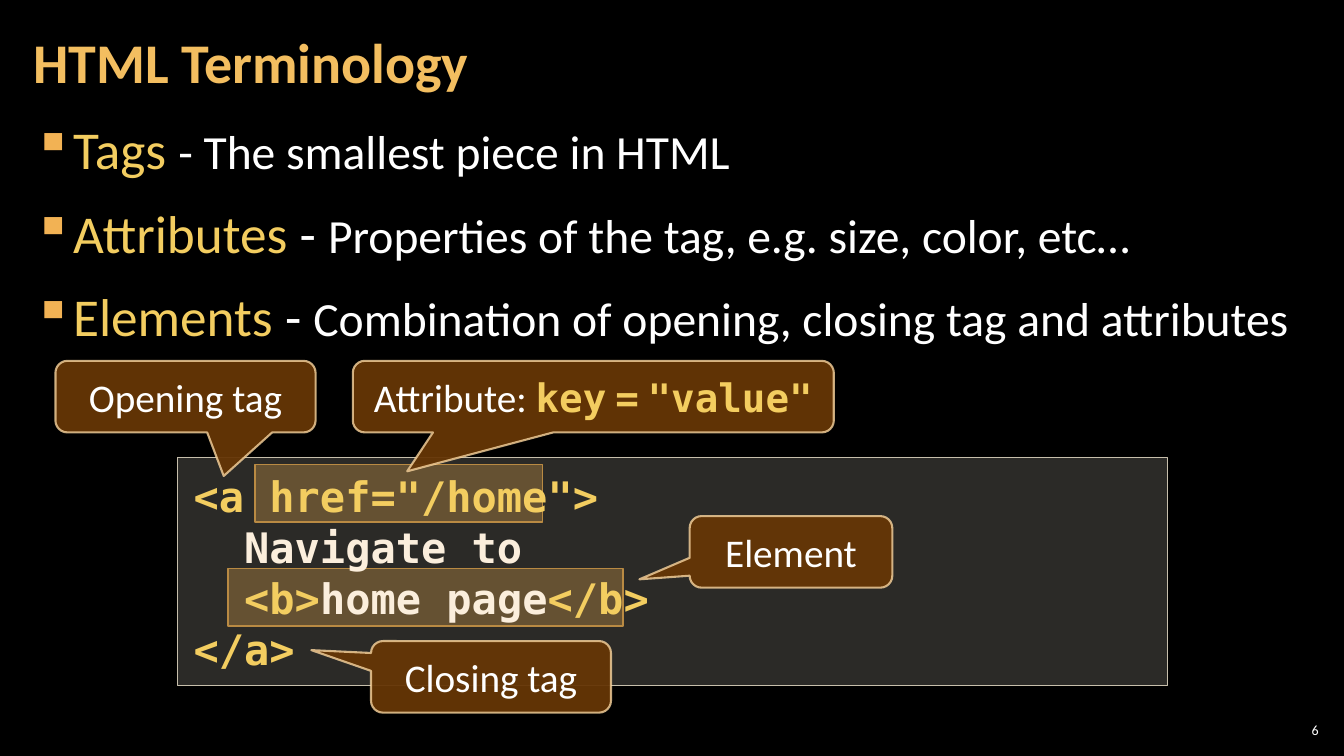
from lxml import etree
from pptx import Presentation
from pptx.dml.color import RGBColor
from pptx.enum.shapes import MSO_SHAPE
from pptx.enum.text import MSO_ANCHOR, PP_ALIGN
from pptx.oxml.ns import qn
from pptx.util import Inches, Pt

RECT, CALL = MSO_SHAPE.RECTANGLE, MSO_SHAPE.ROUNDED_RECTANGULAR_CALLOUT
TOP, MID = MSO_ANCHOR.TOP, MSO_ANCHOR.MIDDLE
LEFT, MIDDLE, RIGHT = PP_ALIGN.LEFT, PP_ALIGN.CENTER, PP_ALIGN.RIGHT

HEX = {
    "back": "000000", "title": "F3BE60", "gold": "F3CD60", "white": "FFFFFF",
    "cream": "FBEEDC", "bullet": "F2B254", "mark": "F0A22E", "edge": "B27822",
    "panel": "D9D5C7", "rim": "C7BFAC", "brown": "663606", "sand": "F8D49E",
}
SANS, MONO = "Calibri", "DejaVu Sans Mono"

# Content: each run is (text, style)
STYLE = {
    "title": (SANS, 40, "title", True),
    "term": (SANS, 38, "gold", False),
    "dash": (SANS, 38, "white", False),
    "text": (SANS, 34, "white", False),
    "tag": (MONO, 30, "gold", True),
    "code": (MONO, 30, "cream", True),
    "label": (SANS, 28, "white", False),
    "key": (MONO, 28, "gold", True),
    "gap": (SANS, 28, "gold", True),
    "page": (SANS, 10, "white", False),
}
TERMS = [
    [("Tags ", "term"), ("- The smallest piece in HTML", "text")],
    [("Attributes ", "term"), ("- ", "dash"),
     ("Properties of the tag, e.g. size, color, etc…", "text")],
    [("Elements ", "term"), ("- ", "dash"),
     ("Combination of opening, closing tag and attributes", "text")],
]
CODE = [
    [('<a href="/home">', "tag")],
    [("  Navigate to", "code")],
    [("  <b>", "tag"), ("home page", "code"), ("</b>", "tag")],
    [("</a>", "tag")],
]
KEY = [("Attribute: ", "label"), ("key", "key"), (" ", "gap"), ("=", "key"),
       (" ", "gap"), ('"value"', "key")]
# Callouts: left, top, width, pointer offsets, runs
CALLS = [
    (0.55, 3.58, 2.58, (0.147, 1.109), [("Opening tag", "label")]),
    (3.5, 3.58, 4.77, (-0.387, 1.044), KEY),
    (6.84, 5.12, 2.01, (-0.748, 0.384), [("Element", "label")]),
    (3.68, 6.36, 2.38, (-0.749, -0.373), [("Closing tag", "label")]),
]
MARKS = [(2.53, 4.61, 2.85), (2.26, 5.64, 3.92)]
CALL_H, MARK_H = 0.71, 0.57

deck = Presentation()
deck.slide_width, deck.slide_height = Inches(13.33), Inches(7.5)
slide = deck.slides.add_slide(deck.slide_layouts[6])


def color(name):
    return RGBColor.from_string(HEX[name])


def paint(fill, name, share=100):
    fill.solid()
    fill.fore_color.rgb = color(name)
    if share < 100:
        for node in fill._xPr.iter(qn("a:srgbClr")):
            etree.SubElement(node, qn("a:alpha"), val=str(share * 1000))


def write(shape, rows, pad, anchor=TOP, align=LEFT, bullet=False, **form):
    frame = shape.text_frame
    frame.word_wrap = True
    frame.vertical_anchor = anchor
    frame.margin_left = frame.margin_right = Inches(pad[0])
    frame.margin_top = frame.margin_bottom = Inches(pad[1])
    for i, row in enumerate(rows):
        para = frame.paragraphs[0] if i == 0 else frame.add_paragraph()
        para.alignment = align
        for name, value in form.items():
            if i or name != "space_before":
                setattr(para, name, value)
        if bullet:
            props = para._p.get_or_add_pPr()
            props.set("marL", str(Inches(0.33)))
            props.set("indent", str(-Inches(0.33)))
            tint = etree.SubElement(props, qn("a:buClr"))
            etree.SubElement(tint, qn("a:srgbClr"), val=HEX["bullet"])
            etree.SubElement(props, qn("a:buChar"), char="▪")
        for text, style in row:
            run = para.add_run()
            run.text = text
            face, size, tone, bold = STYLE[style]
            look = {"name": face, "size": Pt(size), "bold": bold}
            for name, value in look.items():
                setattr(run.font, name, value)
            run.font.color.rgb = color(tone)


def text_box(box, rows, pad, **form):
    write(slide.shapes.add_textbox(*map(Inches, box)), rows, pad, **form)


def block(kind, box, fill, share, line, width, clear=100):
    shape = slide.shapes.add_shape(kind, *map(Inches, box))
    shape.shadow.inherit = False
    paint(shape.fill, fill, share)
    shape.line.width = Pt(width)
    paint(shape.line.fill, line, clear)
    return shape


# Background, title, terms and page number
paint(slide.background.fill, "back")
text_box((0.21, 0.04, 10.47, 1.21), [[("HTML Terminology", "title")]],
         (0.12, 0.04), anchor=MID, line_spacing=0.9)
text_box((0.21, 1.08, 12.91, 6.17), TERMS, (0.12, 0.04), bullet=True,
         line_spacing=1.05, space_before=Pt(6), space_after=Pt(6))
text_box((12.65, 7.14, 0.47, 0.21), [[("6", "page")]], (0.04, 0.04),
         anchor=MID, align=RIGHT)

# Highlights behind the code panel
for left, top, width in MARKS:
    block(RECT, (left, top, width, MARK_H), "mark", 30, "edge", 1)

# Code panel
panel = block(RECT, (1.76, 4.54, 9.82, 2.26), "panel", 20, "rim", 1)
write(panel, CODE, (0.16, 0.12), line_spacing=Pt(36.5))

# Callouts
for left, top, width, tip, runs in CALLS:
    call = block(CALL, (left, top, width, CALL_H), "brown", 95, "sand", 1.5, 80)
    call.adjustments[0], call.adjustments[1] = tip
    write(call, [runs], (0.1, 0.05), anchor=MID, align=MIDDLE)

deck.save("out.pptx")
